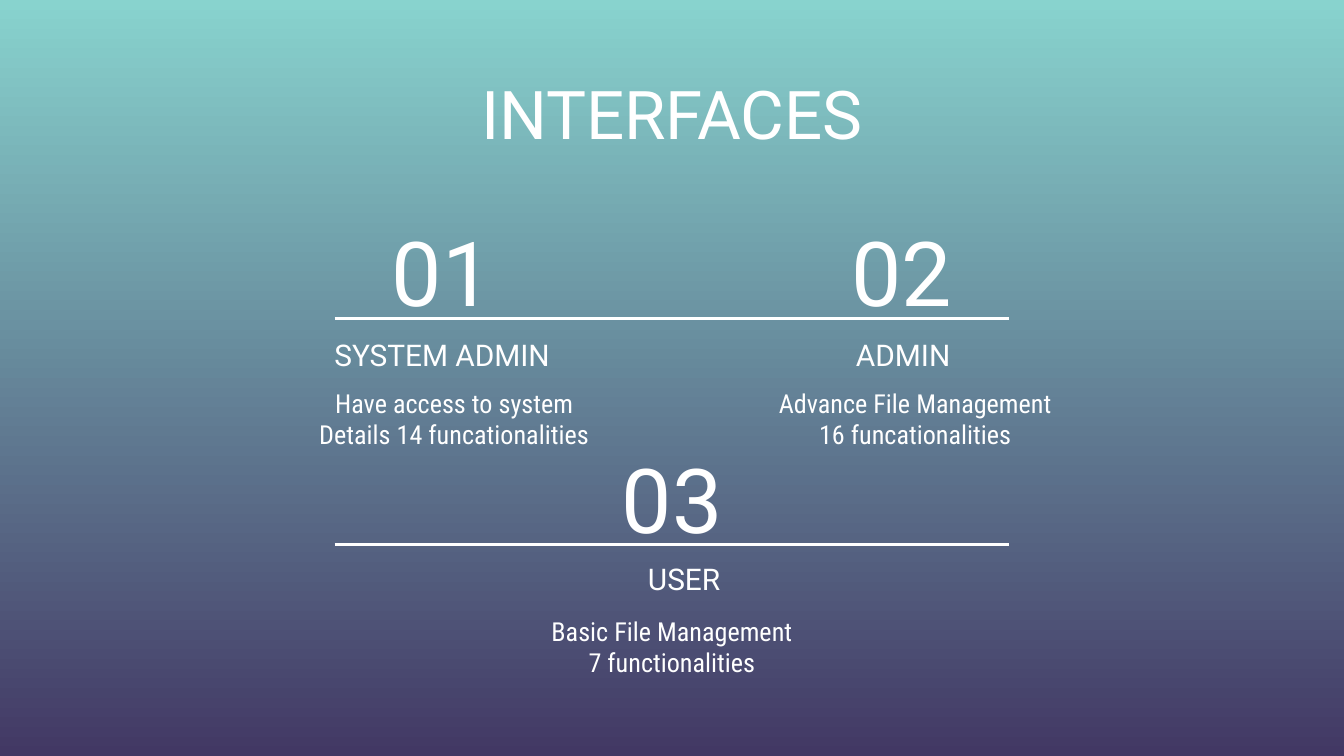
"""Build the slide that lists the three user interfaces."""
from pptx import Presentation
from pptx.dml.color import RGBColor
from pptx.enum.shapes import MSO_CONNECTOR
from pptx.enum.text import MSO_ANCHOR, PP_ALIGN
from pptx.oxml.xmlchemy import OxmlElement
from pptx.util import Inches, Pt

WIDE = 10
HIGH = WIDE * 9 / 16
HUES = {"top": "88D3CE", "base": "423864", "ink": "FFFFFF"}
TITLE = "INTERFACES"
CARDS = [
    {"num": "01", "name": "SYSTEM ADMIN", "body": "Have access to system Details 14 funcationalities",
     "mid": 3.29, "row": 0, "name_dx": 0, "body_dx": 0.09, "wide": 2.27, "high": 0.58},
    {"num": "02", "name": "ADMIN", "body": "Advance File Management 16 funcationalities",
     "mid": 6.71, "row": 0, "name_dx": 0.01, "body_dx": 0.1, "wide": 2.27, "high": 0.49},
    {"num": "03", "name": "USER", "body": "Basic File Management 7 functionalities",
     "mid": 5, "row": 1, "name_dx": 0.09, "body_dx": 0, "wide": 2.05, "high": 0.4},
]
ROWS = [
    {"num": 1.7, "rule": 2.37, "name": 2.24, "body": 2.78},
    {"num": 3.39, "rule": 4.05, "name": 3.91, "body": 4.48},
]
RULE = 5.02


def tint(name):
    return RGBColor.from_string(HUES[name])


def write(slide, text, *, mid, top, wide, high, size, font="Roboto", anchor=MSO_ANCHOR.TOP):
    box = slide.shapes.add_textbox(Inches(mid - wide / 2), Inches(top), Inches(wide), Inches(high))
    frame = box.text_frame
    frame.word_wrap = True
    frame.vertical_anchor = anchor
    frame.margin_left = frame.margin_right = Inches(0.1)
    frame.margin_top = frame.margin_bottom = Inches(0.1)
    para = frame.paragraphs[0]
    para.alignment = PP_ALIGN.CENTER
    run = para.add_run()
    run.text = text
    run.font.name = font
    run.font.size = Pt(size)
    run.font.color.rgb = tint("ink")


def rule(slide, top):
    left = (WIDE - RULE) / 2
    line = slide.shapes.add_connector(
        MSO_CONNECTOR.STRAIGHT, Inches(left), Inches(top), Inches(left + RULE), Inches(top))
    line.line.color.rgb = tint("ink")
    line.line.width = Pt(1.5)
    line._element.spPr.append(OxmlElement("a:effectLst"))


def paint(slide):
    fill = slide.background.fill
    fill.gradient()
    fill.gradient_angle = 270
    for stop, name in zip(fill.gradient_stops, ("top", "base")):
        stop.color.rgb = tint(name)


def main():
    deck = Presentation()
    deck.slide_width, deck.slide_height = Inches(WIDE), Inches(HIGH)
    slide = deck.slides.add_slide(deck.slide_layouts[6])
    paint(slide)
    write(slide, TITLE, mid=WIDE / 2, top=0.44, wide=7.55, high=1.03, size=36)
    for card in CARDS:
        row, mid = ROWS[card["row"]], card["mid"]
        write(slide, card["num"], mid=mid, top=row["num"], wide=1.92, high=0.63,
              size=48, anchor=MSO_ANCHOR.MIDDLE)
        write(slide, card["name"], mid=mid + card["name_dx"], top=row["name"], wide=2.88,
              high=0.63, size=16, anchor=MSO_ANCHOR.BOTTOM)
        write(slide, card["body"], mid=mid + card["body_dx"], top=row["body"],
              wide=card["wide"], high=card["high"], size=14, font="Roboto Condensed")
    for row in ROWS:
        rule(slide, row["rule"])
    deck.save("out.pptx")


if __name__ == "__main__":
    main()
